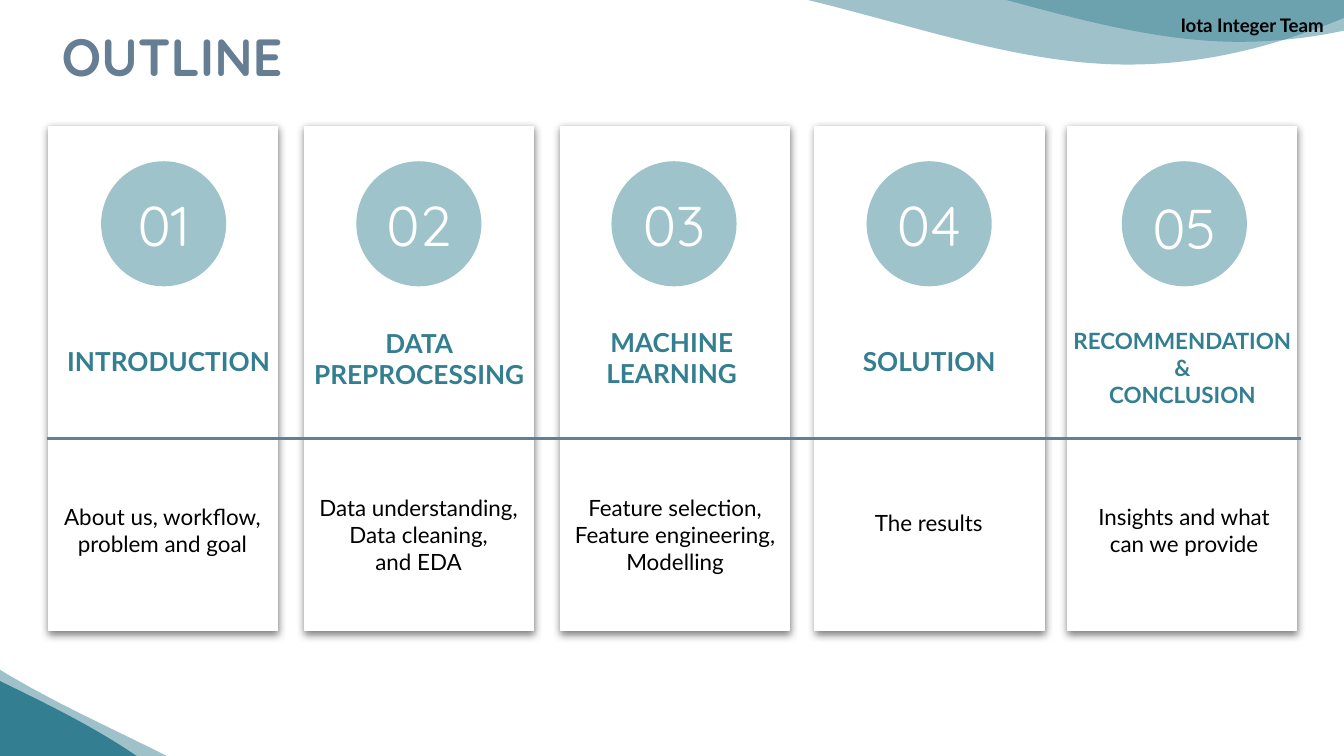
from lxml import etree
from pptx import Presentation
from pptx.dml.color import RGBColor
from pptx.enum.shapes import MSO_CONNECTOR as Connector, MSO_SHAPE as Preset
from pptx.enum.text import MSO_ANCHOR as Anchor, PP_ALIGN as Align
from pptx.oxml import parse_xml
from pptx.oxml.ns import nsdecls, qn
from pptx.util import Pt

TEAL = RGBColor(0x33, 0x7E, 0x90)
PALE_TEAL = RGBColor(0x9F, 0xC3, 0xCB)
SLATE = RGBColor(0x65, 0x7E, 0x93)
WHITE = RGBColor(0xFF, 0xFF, 0xFF)
BLACK = RGBColor(0, 0, 0)

prs = Presentation()
prs.slide_width, prs.slide_height = Pt(720), Pt(405)
slide = prs.slides.add_slide(prs.slide_layouts[6])
shapes = slide.shapes


def add_wave(points, curve_starts, shift, rotation, alpha):
    """Draw an outline in which each listed step begins a Bezier curve of three points."""
    outline = [(Pt(x + shift[0]), Pt(y + shift[1])) for x, y in points]
    builder = shapes.build_freeform(*outline[0])
    builder.add_line_segments(outline[1:], close=True)
    wave = builder.convert_to_shape()
    steps = list(wave._element.iter(qn("a:lnTo")))
    for start in curve_starts:
        curve = etree.Element(qn("a:cubicBezTo"))
        steps[start].addprevious(curve)
        for step in steps[start:start + 3]:
            curve.append(step[0])
            step.getparent().remove(step)
    wave.rotation = rotation
    wave.shadow.inherit = False
    wave.fill.solid()
    wave.fill.fore_color.rgb = TEAL
    wave.line.fill.background()
    if alpha < 100:
        color = wave.fill._xPr.find(qn("a:solidFill"))[0]
        etree.SubElement(color, qn("a:alpha"), val=str(alpha * 1000))


def add_text(box, text, size, color, font="Lato", bold=False, align=Align.CENTER,
             anchor=Anchor.TOP):
    frame = shapes.add_textbox(*map(Pt, box)).text_frame
    frame.word_wrap = True
    frame.vertical_anchor = anchor
    frame.margin_left = frame.margin_right = frame.margin_top = frame.margin_bottom = Pt(7.2)
    frame.text = text
    for paragraph in frame.paragraphs:
        paragraph.alignment = align
        for run in paragraph.runs:
            run.font.name, run.font.size, run.font.bold = font, Pt(size), bold
            run.font.color.rgb = color


# Corner waves
top_wave = [(334, -13.7), (430.6, -13.7), (517.7, 34.6), (604, 34.6),
            (758.9, 34.6), (839.5, -99.4), (1072.8, -99.4), (334, -99.4)]
bottom_wave = [(232.6, 466.6), (-162, 466.6), (-162, 226.8),
               (-38.2, 429.5), (123.8, 346), (232.6, 466.6)]
add_wave(bottom_wave, [2], (0, 0), 11.4, 47)
add_wave(top_wave, [0, 3], (59.8, -12.2), 0, 47)
add_wave(bottom_wave, [2], (-64.8, -28), 11.4, 100)
add_wave(top_wave, [0, 3], (0, 0), 0, 47)

# Each section: card left, number centre, heading, its size and box, summary and its box
sections = [
    (26, 119.9, "INTRODUCTION", 14, (2.9, 177.8, 175, 34.6),
     "About us, workflow,\nproblem and goal", (-0.4, 262.4, 175, 45.4)),
    (163.1, 119.9, "DATA\nPREPROCESSING", 14, (144, 168.1, 161.3, 34.6),
     "Data understanding,\nData cleaning,\nand EDA", (136.8, 257.8, 175, 45.4)),
    (300.2, 119.9, "MACHINE\nLEARNING", 14, (296.2, 167.6, 127.4, 34.6),
     "Feature selection,\nFeature engineering,\nModelling", (267.4, 257.8, 188.6, 45.4)),
    (436.7, 119.9, "SOLUTION", 14, (443.5, 177.8, 108.7, 34.6),
     "The results", (443.2, 265.7, 108.7, 29.5)),
    (572.1, 121.5, "RECOMMENDATION\n&\nCONCLUSION", 12, (552.8, 168.3, 161.3, 52.6),
     "Insights and what can we provide", (580, 262.4, 108.7, 45.4)),
]

# Cards with a soft drop shadow
for card_left, *_ in sections:
    card = shapes.add_shape(Preset.RECTANGLE, Pt(card_left), Pt(67.7), Pt(122.6), Pt(270.3))
    card.fill.solid()
    card.fill.fore_color.rgb = WHITE
    card.line.color.rgb = WHITE
    card.line.width = Pt(0.75)
    card.shadow.inherit = False
    card._element.spPr.find(qn("a:effectLst")).append(parse_xml(
        f'<a:outerShdw {nsdecls("a")} blurRad="{Pt(4.5)}" dist="{Pt(1.5)}" dir="5400000" '
        'algn="bl" rotWithShape="0"><a:srgbClr val="000000"><a:alpha val="50000"/>'
        '</a:srgbClr></a:outerShdw>'))

for index, (_, number_middle, heading, heading_size, heading_box,
            summary, summary_box) in enumerate(sections):
    # Numbered circle
    circle_left = 54.2 + 136.7 * index
    circle = shapes.add_shape(Preset.OVAL, Pt(circle_left), Pt(86.4), Pt(67), Pt(67))
    circle.shadow.inherit = False
    circle.fill.solid()
    circle.fill.fore_color.rgb = PALE_TEAL
    circle.line.fill.background()
    add_text((circle_left, number_middle - 25, 67, 50), f"{index + 1:02}", 30, WHITE,
             font="Quicksand", anchor=Anchor.MIDDLE)

    # Heading and summary
    add_text(heading_box, heading, heading_size, TEAL, bold=True)
    add_text(summary_box, summary, 12, BLACK)

# Divider across the cards
divider = shapes.add_connector(Connector.STRAIGHT, Pt(25.2), Pt(235), Pt(697), Pt(235))
divider.line.color.rgb = SLATE
divider.line.width = Pt(1.5)
etree.SubElement(divider._element.spPr, qn("a:effectLst"))

# Title and team name
add_text((25.9, 5.8, 607, 46.8), "OUTLINE", 28, SLATE, font="Quicksand", bold=True,
         align=Align.LEFT)
add_text((607.4, 1.4, 108.7, 26.6), "Iota Integer Team", 10, BLACK, bold=True,
         align=Align.RIGHT)

prs.save("out.pptx")
